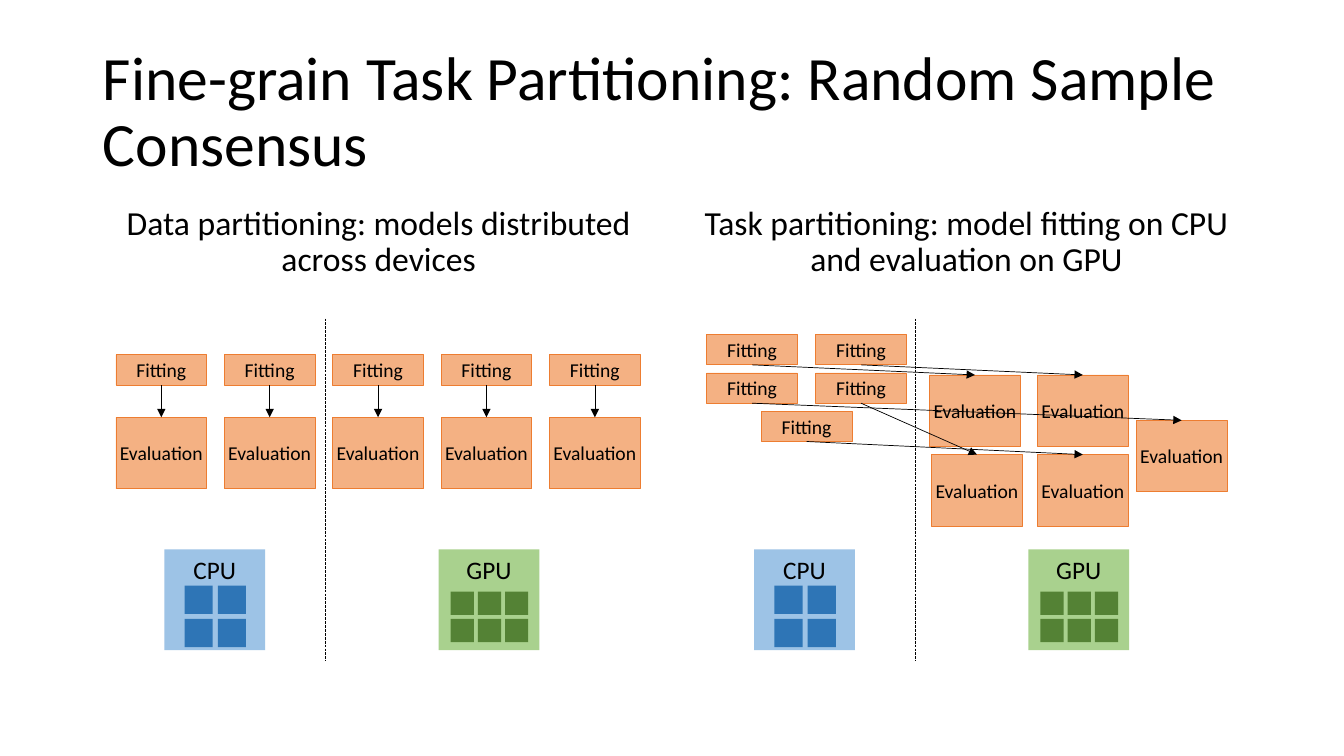
from pptx import Presentation
from pptx.dml.color import RGBColor
from pptx.enum import dml, shapes, text
from pptx.oxml import ns, xmlchemy
from pptx.util import Inches, Pt

BLACK = RGBColor(0x00, 0x00, 0x00)
CPU_BLUE = RGBColor(0x9D, 0xC3, 0xE6)
CPU_CORE = RGBColor(0x2E, 0x75, 0xB6)
GPU_GREEN = RGBColor(0xA9, 0xD1, 0x8E)
GPU_CORE = RGBColor(0x54, 0x82, 0x35)
TASK_FILL = RGBColor(0xF4, 0xB1, 0x83)
TASK_EDGE = RGBColor(0xED, 0x7D, 0x31)

TASK_WIDTH, FITTING_HEIGHT, EVALUATION_HEIGHT = 0.9, 0.3, 0.71
BOTTOM_SITE, TOP_SITE = 2, 0
NO_INSETS = dict.fromkeys(
    ("margin_left", "margin_right", "margin_top", "margin_bottom"), 0)

CHIPS = {
    "CPU": dict(at=(0.71, 2.29), fill=CPU_BLUE, core=CPU_CORE, columns=2,
                first=(0.2, 0.36), size=0.28, pitch=0.33),
    "GPU": dict(at=(3.43, 2.29), fill=GPU_GREEN, core=GPU_CORE, columns=3,
                first=(0.12, 0.42), size=0.23, pitch=0.27),
}

# Offsets of each fitting and its evaluation within a panel
DATA_TASKS = [((0.23 + 1.075 * i, 0.36), (0.23 + 1.075 * i, 0.98))
              for i in range(5)]
MODEL_TASKS = [
    ((0.24, 0.16), (2.45, 0.56)),
    ((1.32, 0.16), (3.52, 0.56)),
    ((0.24, 0.54), (4.5, 1.01)),
    ((1.32, 0.54), (2.47, 1.35)),
    ((0.78, 0.92), (3.52, 1.35)),
]


def apply(target, formats):
    for key, value in formats.items():
        setattr(target, key, value)


def set_text(holder, words, size, align, anchor, **frame_formats):
    frame = holder.text_frame
    frame.text = words
    apply(frame, dict(vertical_anchor=anchor, **frame_formats))
    paragraph = frame.paragraphs[0]
    paragraph.alignment = align
    font = paragraph.runs[0].font
    apply(font, dict(size=Pt(size), name="Calibri"))
    font.color.rgb = BLACK
    return paragraph


def fill_placeholder(holder, box, words, size, align, anchor):
    apply(holder, dict(zip(("left", "top", "width", "height"),
                           map(Inches, box))))
    paragraph = set_text(holder, words, size, align, anchor,
                         word_wrap=True, auto_size=text.MSO_AUTO_SIZE.NONE)
    paragraph.line_spacing = 0.9
    return paragraph


def fill_heading(holder, box, words):
    paragraph = fill_placeholder(holder, box, words, 24, text.PP_ALIGN.CENTER,
                                 text.MSO_ANCHOR.TOP)
    paragraph.space_before = Pt(10)
    properties = paragraph._p.get_or_add_pPr()
    properties.set("marL", "0")
    properties.set("indent", "0")
    xmlchemy.OxmlElement("a:buNone")
    properties.append(xmlchemy.OxmlElement("a:buNone"))


def add_box(parent, left, top, width, height, fill, edge=None):
    box = parent.shapes.add_shape(shapes.MSO_SHAPE.RECTANGLE,
                                  *map(Inches, (left, top, width, height)))
    box.shadow.inherit = False
    box.fill.solid()
    box.fill.fore_color.rgb = fill
    if edge is None:
        box.line.fill.background()
    else:
        box.line.color.rgb = edge
        box.line.width = Pt(0.5)
    return box


def add_line(parent, start, end, weight):
    line = parent.shapes.add_connector(shapes.MSO_CONNECTOR.STRAIGHT,
                                       *start, *end)
    line.line.color.rgb = BLACK
    line.line.width = Pt(weight)
    line._element.spPr.append(xmlchemy.OxmlElement("a:effectLst"))
    return line


def add_chip(panel, left, top, label, fill, core, columns, first, size, pitch):
    chip = add_box(panel, left, top, 1, 1, fill)
    set_text(chip, label, 18, text.PP_ALIGN.CENTER, text.MSO_ANCHOR.TOP)
    for row in range(2):
        for column in range(columns):
            add_box(panel, left + first[0] + column * pitch,
                    top + first[1] + row * pitch, size, size, core)


def add_task(panel, left, top, height, label):
    task = add_box(panel, left, top, TASK_WIDTH, height, TASK_FILL, TASK_EDGE)
    set_text(task, label, 14, text.PP_ALIGN.CENTER, text.MSO_ANCHOR.MIDDLE,
             **NO_INSETS)
    return task


def add_arrow(panel, fitting, evaluation):
    start = (fitting.left + fitting.width // 2, fitting.top + fitting.height)
    end = (evaluation.left + evaluation.width // 2, evaluation.top)
    arrow = add_line(panel, start, end, 0.5)
    arrow.begin_connect(fitting, BOTTOM_SITE)
    arrow.end_connect(evaluation, TOP_SITE)
    head = xmlchemy.OxmlElement("a:tailEnd")
    head.set("type", "triangle")
    arrow._element.spPr.find(ns.qn("a:ln")).append(head)


def add_panel(slide, left, top, tasks):
    panel = slide.shapes.add_group_shape()
    # Devices
    for label, chip in CHIPS.items():
        style = {key: value for key, value in chip.items() if key != "at"}
        x, y = chip["at"]
        add_chip(panel, left + x, top + y, label, **style)
    # Divider between the devices
    middle = Inches(left + 2.31)
    divider = add_line(panel, (middle, Inches(top)),
                       (middle, Inches(top + 3.4)), 0.25)
    divider.line.dash_style = dml.MSO_LINE.LONG_DASH
    # Tasks
    for (fit_x, fit_y), (eval_x, eval_y) in tasks:
        fitting = add_task(panel, left + fit_x, top + fit_y,
                           FITTING_HEIGHT, "Fitting")
        evaluation = add_task(panel, left + eval_x, top + eval_y,
                              EVALUATION_HEIGHT, "Evaluation")
        add_arrow(panel, fitting, evaluation)


def build_comparison(deck):
    slide = deck.slides.add_slide(deck.slide_layouts.get_by_name("Two Content"))
    title, data_heading, task_heading = list(slide.placeholders)[:3]
    # Title and headings
    fill_placeholder(title, (0.92, 0.4, 11.5, 1.45),
                     "Fine-grain Task Partitioning: Random Sample Consensus",
                     44, text.PP_ALIGN.LEFT, text.MSO_ANCHOR.MIDDLE)
    fill_heading(data_heading, (0.92, 2, 5.67, 4.76),
                 "Data partitioning: models distributed across devices")
    fill_heading(task_heading, (6.75, 2, 5.67, 4.76),
                 "Task partitioning: model fitting on CPU and evaluation on GPU")
    # Diagrams
    add_panel(slide, 0.92, 3.16, DATA_TASKS)
    add_panel(slide, 6.77, 3.16, MODEL_TASKS)


def main():
    deck = Presentation()
    apply(deck, dict(slide_width=Inches(13.33), slide_height=Inches(7.5)))
    build_comparison(deck)
    deck.save("out.pptx")


if __name__ == "__main__":
    main()
